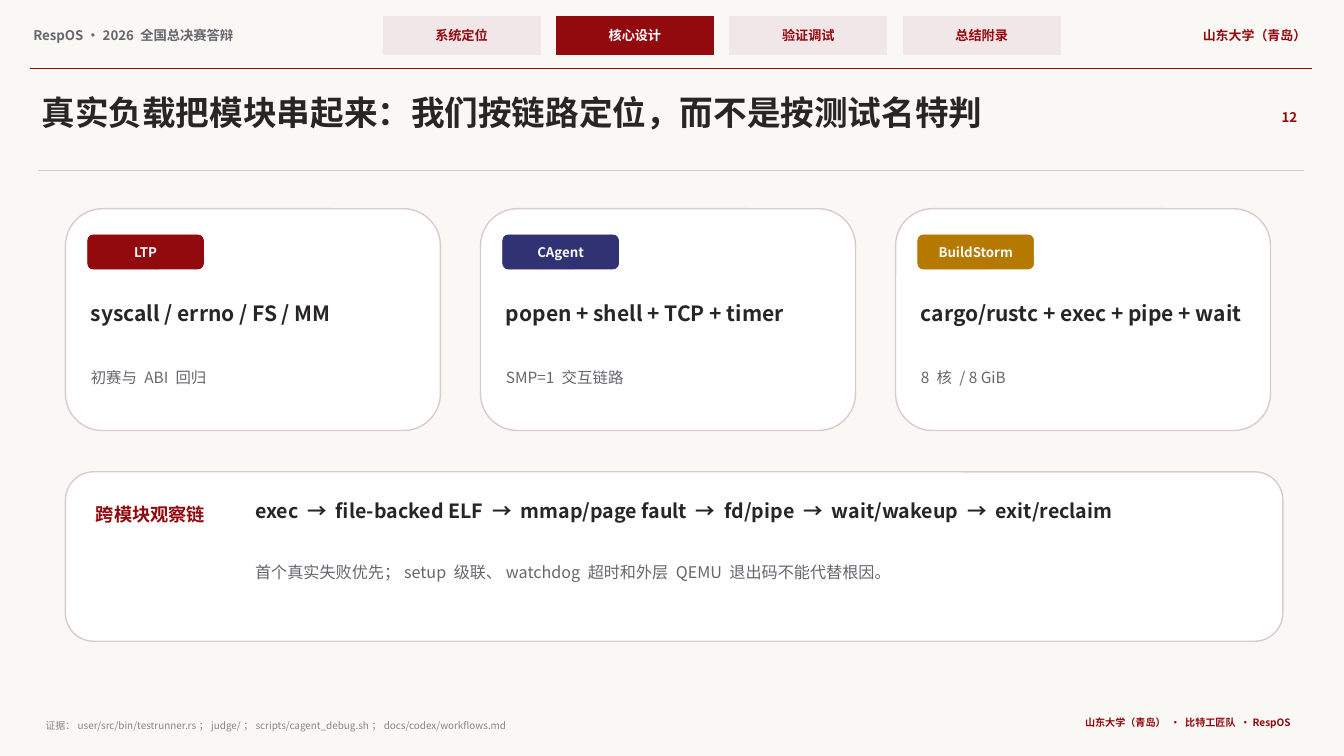
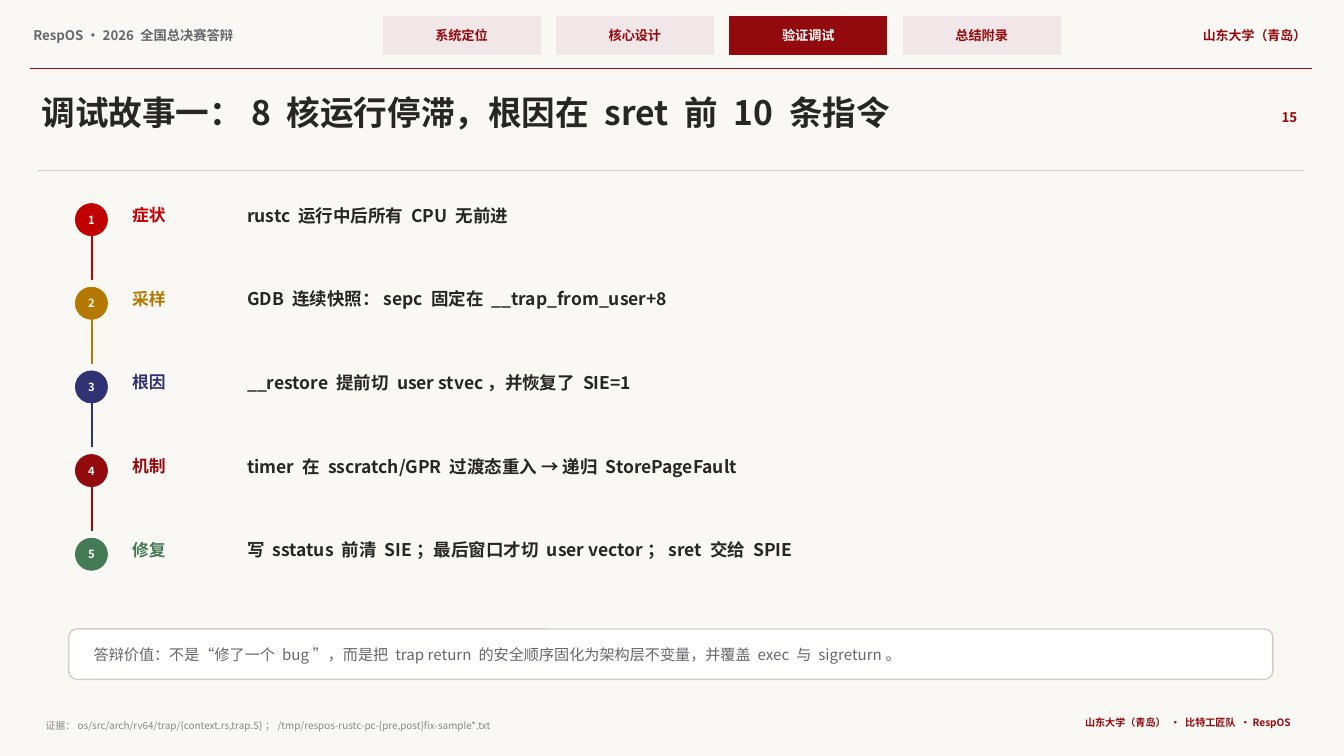
from dataclasses import dataclass

from lxml import etree
from pptx import Presentation
from pptx.dml.color import RGBColor
from pptx.enum.shapes import MSO_CONNECTOR, MSO_SHAPE
from pptx.enum.text import MSO_ANCHOR, MSO_AUTO_SIZE, PP_ALIGN
from pptx.oxml.ns import qn
from pptx.util import Cm, Pt

RECT = MSO_SHAPE.RECTANGLE
ROUNDED = MSO_SHAPE.ROUNDED_RECTANGLE
OVAL = MSO_SHAPE.OVAL
STRAIGHT = MSO_CONNECTOR.STRAIGHT
LEFT, CENTER, RIGHT = PP_ALIGN.LEFT, PP_ALIGN.CENTER, PP_ALIGN.RIGHT
MIDDLE = MSO_ANCHOR.MIDDLE
GROW = MSO_AUTO_SIZE.SHAPE_TO_FIT_TEXT


@dataclass(frozen=True)
class Theme:
    font: str = "Noto Sans CJK SC"
    paper: str = "FAF8F5"
    white: str = "FFFFFF"
    ink: str = "282525"
    grey: str = "66666D"
    faint: str = "8A8585"
    border: str = "D9CBCD"
    blush: str = "F2E7E8"
    crimson: str = "92090E"
    red: str = "C00000"
    ochre: str = "B57900"
    indigo: str = "303274"
    green: str = "447A55"
    title: float = 24
    heading: float = 15
    chain: float = 14
    chain_label: float = 13
    step: float = 12.5
    step_label: float = 12
    chain_note: float = 11.5
    caption: float = 11
    note: float = 10.8
    small: float = 9.5
    tab: float = 9.4
    school: float = 9.2
    badge: float = 8
    team: float = 7.2
    evidence: float = 7.1


THEME = Theme()
SCHOOL = "山东大学（青岛）"
SECTIONS = ["系统定位", "核心设计", "验证调试", "总结附录"]
WORKLOADS = [
    ("LTP", THEME.crimson, "syscall / errno / FS / MM", "初赛与 ABI 回归"),
    ("CAgent", THEME.indigo, "popen + shell + TCP + timer", "SMP=1 交互链路"),
    ("BuildStorm", THEME.ochre, "cargo/rustc + exec + pipe + wait", "8 核 / 8 GiB"),
]
CHAIN = ["exec", "file-backed ELF", "mmap/page fault", "fd/pipe",
         "wait/wakeup", "exit/reclaim"]
STEPS = [
    ("症状", THEME.red, "rustc 运行中后所有 CPU 无前进"),
    ("采样", THEME.ochre, "GDB 连续快照：sepc 固定在 __trap_from_user+8"),
    ("根因", THEME.indigo, "__restore 提前切 user stvec，并恢复了 SIE=1"),
    ("机制", THEME.crimson, "timer 在 sscratch/GPR 过渡态重入 → 递归 StorePageFault"),
    ("修复", THEME.green, "写 sstatus 前清 SIE；最后窗口才切 user vector；sret 交给 SPIE"),
]


def rgb(color):
    return RGBColor.from_string(color)


def write(frame, text, size, color, bold, align, inset=0.08):
    frame.word_wrap = True
    frame.margin_left = frame.margin_right = Cm(inset)
    frame.margin_top = frame.margin_bottom = Cm(0.08)
    para = frame.paragraphs[0]
    para.text = text
    para.alignment = align
    font = para.font
    font.name = THEME.font
    font.size = Pt(size)
    font.bold = bold
    font.color.rgb = rgb(color)


def add_text(page, text, left, top, width, height, size, color,
             bold=True, align=LEFT):
    box = page.shapes.add_textbox(Cm(left), Cm(top), Cm(width), Cm(height))
    write(box.text_frame, text, size, color, bold, align)
    box.text_frame.auto_size = GROW


def add_panel(page, kind, left, top, width, height, fill, border=None):
    """Draw a flat shape; without a border colour it gets a thin line in its fill."""
    panel = page.shapes.add_shape(kind, Cm(left), Cm(top), Cm(width), Cm(height))
    panel.shadow.inherit = False
    panel.fill.solid()
    panel.fill.fore_color.rgb = rgb(fill)
    panel.line.color.rgb = rgb(border or fill)
    panel.line.width = Pt(1 if border else 0.5)
    return panel


def add_label(panel, text, size, color, bold=True, align=CENTER, inset=0.08):
    write(panel.text_frame, text, size, color, bold, align, inset)
    panel.text_frame.vertical_anchor = MIDDLE


def add_rule(page, left, top, right, bottom, color, weight):
    rule = page.shapes.add_connector(
        STRAIGHT, Cm(left), Cm(top), Cm(right), Cm(bottom))
    rule.line.color.rgb = rgb(color)
    rule.line.width = Pt(weight)
    etree.SubElement(rule._element.spPr, qn("a:effectLst"))


def add_tabs(page, current):
    for index, section in enumerate(SECTIONS):
        active = section == current
        tab = add_panel(page, RECT, 9.65 + 4.37 * index, 0.41, 3.96, 0.97,
                        THEME.crimson if active else THEME.blush)
        add_label(tab, section, THEME.tab,
                  THEME.white if active else THEME.crimson)


def add_page(deck, section, title, number, evidence):
    """Add a blank slide with the header, title and footer that all pages share."""
    page = deck.slides.add_slide(deck.slide_layouts[6])
    add_text(page, "RespOS · 2026 全国总决赛答辩", 0.76, 0.61, 8.51, 0.61,
             THEME.small, THEME.grey)
    add_tabs(page, section)
    add_text(page, SCHOOL, 28.83, 0.61, 4.17, 0.61,
             THEME.school, THEME.crimson, align=RIGHT)
    add_rule(page, 0.76, 1.73, 33.07, 1.73, THEME.crimson, 1.1)
    add_text(page, title, 0.97, 2.24, 30.1, 1.22, THEME.title, THEME.ink)
    add_text(page, str(number), 31.7, 2.67, 1.07, 0.61,
             THEME.small, THEME.crimson, align=RIGHT)
    add_rule(page, 0.97, 4.29, 32.87, 4.29, THEME.border, 0.9)
    add_text(page, f"证据：{evidence}", 1.07, 18.06, 24.64, 0.43,
             THEME.evidence, THEME.faint, bold=False)
    add_text(page, f"{SCHOOL} · 比特工匠队 · RespOS", 24.69, 17.98, 7.92, 0.51,
             THEME.team, THEME.crimson, align=RIGHT)
    return page


def add_workload_card(page, left, name, color, heading, caption):
    add_panel(page, ROUNDED, left, 5.26, 9.45, 5.59, THEME.white, THEME.border)
    inner = left + 0.56
    pill = add_panel(page, ROUNDED, inner, 5.92, 2.92, 0.86, color)
    add_label(pill, name, THEME.small, THEME.paper)
    add_text(page, heading, inner, 7.49, 8.26, 1.4, THEME.heading, THEME.ink)
    add_text(page, caption, inner, 9.19, 8, 0.76,
             THEME.caption, THEME.grey, bold=False)


def add_chain_panel(page):
    add_panel(page, ROUNDED, 1.65, 11.89, 30.68, 4.27, THEME.white, THEME.border)
    add_text(page, "跨模块观察链", 2.34, 12.6, 3.94, 0.76,
             THEME.chain_label, THEME.crimson)
    add_text(page, "  →  ".join(CHAIN), 6.35, 12.5, 24, 1.02,
             THEME.chain, THEME.ink)
    add_text(page, "首个真实失败优先；setup 级联、watchdog 超时和外层 QEMU 退出码不能代替根因。",
             6.35, 14.1, 23.75, 0.89, THEME.chain_note, THEME.grey, bold=False)


def add_step(page, number, label, color, finding):
    top = 5.13 + 2.108 * (number - 1)
    badge = add_panel(page, OVAL, 1.9, top, 0.81, 0.81, color)
    add_label(badge, str(number), THEME.badge, THEME.paper)
    add_text(page, label, 3.25, top - 0.05, 2.67, 0.76, THEME.step_label, color)
    add_text(page, finding, 6.15, top - 0.05, 24.51, 0.91, THEME.step, THEME.ink)
    if number < len(STEPS):
        add_rule(page, 2.31, top + 0.81, 2.31, top + 1.93, color, 1.6)


def build_workload_page(deck):
    page = add_page(
        deck, "核心设计", "真实负载把模块串起来：我们按链路定位，而不是按测试名特判", 12,
        "user/src/bin/testrunner.rs；judge/；scripts/cagent_debug.sh；docs/codex/workflows.md")
    for index, workload in enumerate(WORKLOADS):
        add_workload_card(page, 1.65 + 10.46 * index, *workload)
    add_chain_panel(page)


def build_debug_page(deck):
    page = add_page(
        deck, "验证调试", "调试故事一：8 核运行停滞，根因在 sret 前 10 条指令", 15,
        "os/src/arch/rv64/trap/{context.rs,trap.S}；/tmp/respos-rustc-pc-{pre,post}fix-sample*.txt")
    for number, step in enumerate(STEPS, start=1):
        add_step(page, number, *step)
    note = add_panel(page, ROUNDED, 1.73, 15.85, 30.35, 1.27,
                     THEME.white, THEME.border)
    add_label(note, "答辩价值：不是“修了一个 bug”，而是把 trap return 的安全顺序固化为架构层不变量，"
              "并覆盖 exec 与 sigreturn。", THEME.note, THEME.grey,
              bold=False, align=LEFT, inset=0.57)


def main():
    deck = Presentation()
    deck.slide_width, deck.slide_height = Cm(33.87), Cm(19.05)
    backdrop = deck.slide_master.background.fill
    backdrop.solid()
    backdrop.fore_color.rgb = rgb(THEME.paper)
    build_workload_page(deck)
    build_debug_page(deck)
    deck.save("out.pptx")


if __name__ == "__main__":
    main()
